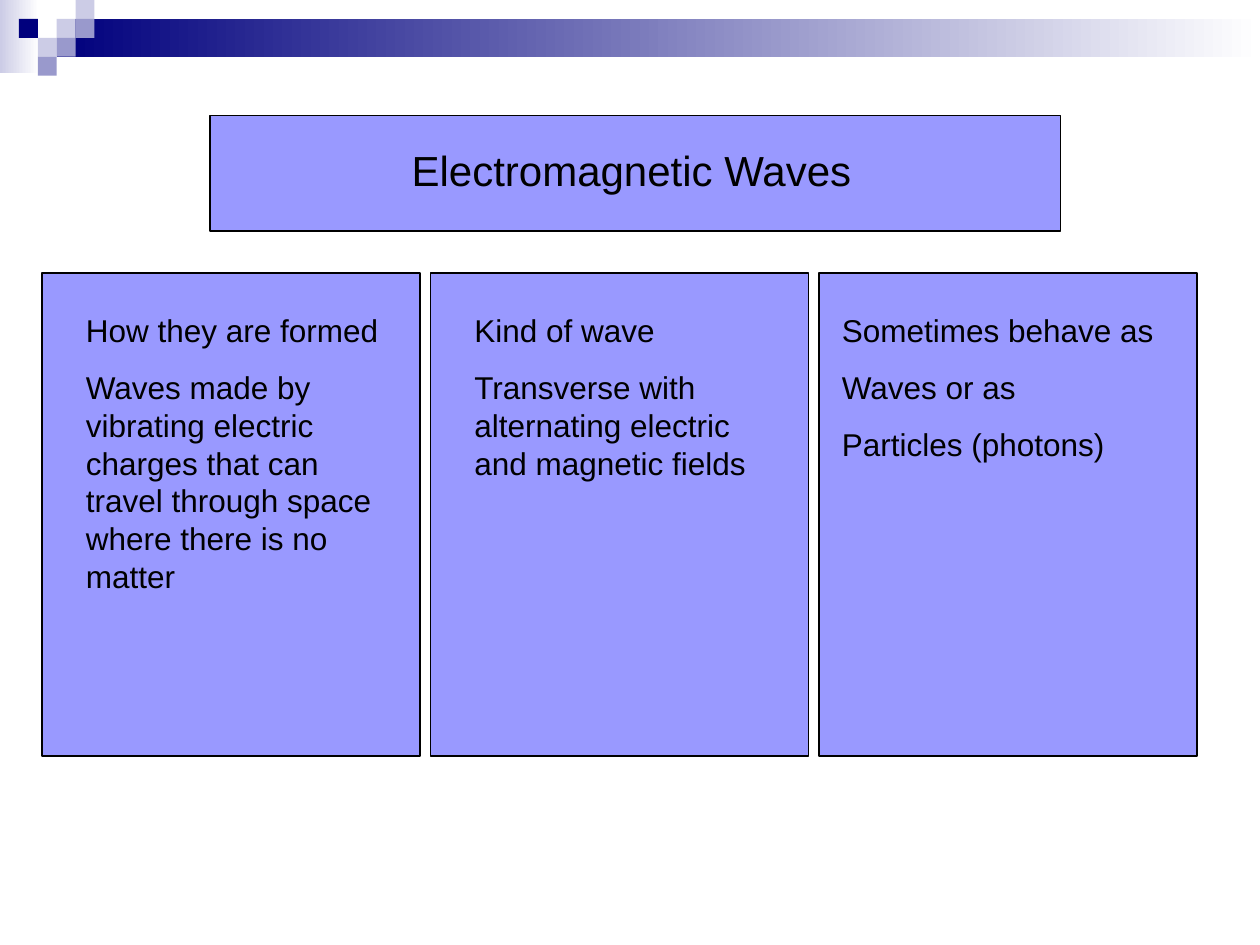
import dataclasses

import pptx
import pptx.dml.color
import pptx.enum.shapes
import pptx.enum.text
import pptx.util

Pt = pptx.util.Pt


@dataclasses.dataclass(frozen=True)
class Theme:
    font: str = "Arial"
    ink: str = "000000"
    panel: str = "9999FF"
    navy: str = "00007D"
    pale: str = "CCCCE6"
    mid: str = "9999CC"
    white: str = "FFFFFF"
    title_size: float = 24
    body_size: float = 18
    paragraph_gap: float = 11.2
    outline: float = 0.75


THEME = Theme()

# Heading, following paragraphs, text indent within the panel, text width
COLUMNS = [
    (["How they are formed",
      "Waves made by vibrating electric charges that can travel through space "
      "where there is no matter"], 18, 186),
    (["Kind of wave",
      "Transverse with alternating electric and magnetic fields"], 18, 192),
    (["Sometimes behave as", "Waves or as", "Particles (photons)"], 6, 204),
]


def rgb(value):
    return pptx.dml.color.RGBColor.from_string(value)


def place(shape, left, top, width, height):
    shape.left, shape.top = Pt(left), Pt(top)
    shape.width, shape.height = Pt(width), Pt(height)


def add_rectangle(page, left, top, width, height, colors, line=None):
    """One colour gives a solid fill, two give a left-to-right gradient."""
    shape = page.shapes.add_shape(
        pptx.enum.shapes.MSO_SHAPE.RECTANGLE,
        Pt(left), Pt(top), Pt(width), Pt(height))
    shape.shadow.inherit = False
    if len(colors) == 1:
        shape.fill.solid()
        shape.fill.fore_color.rgb = rgb(colors[0])
    else:
        shape.fill.gradient()
        shape.fill.gradient_angle = 0
        for position, (stop, color) in enumerate(zip(shape.fill.gradient_stops, colors)):
            stop.position = position
            stop.color.rgb = rgb(color)
    if line:
        shape.line.color.rgb = rgb(line)
        shape.line.width = Pt(THEME.outline)
    else:
        shape.line.fill.background()
    return shape


def write_text(box, paragraphs, *, size, color=THEME.ink, gap=0):
    frame = box.text_frame
    frame.word_wrap = True
    frame.auto_size = pptx.enum.text.MSO_AUTO_SIZE.NONE
    frame.vertical_anchor = pptx.enum.text.MSO_ANCHOR.TOP
    for index, text in enumerate(paragraphs):
        para = frame.add_paragraph() if index else frame.paragraphs[0]
        para.alignment = pptx.enum.text.PP_ALIGN.LEFT
        para.space_before = Pt(gap if index else 0)
        span = para.add_run()
        span.text = text
        span.font.name = THEME.font
        span.font.size = Pt(size)
        span.font.color.rgb = rgb(color)


def add_banner(page, left, top, width, unit):
    """Gradient bar with a checker of small squares at its left end."""
    add_rectangle(page, left, top, 22.3, 41.8, [THEME.pale, THEME.white])
    add_rectangle(page, left + 3 * unit, top + unit, width - 3 * unit, 2 * unit,
                  [THEME.navy, THEME.white])
    squares = [(3, 1, THEME.pale), (4, 0, THEME.pale), (4, 1, THEME.mid),
               (2, 2, THEME.pale), (1, 1, THEME.navy), (3, 2, THEME.mid),
               (2, 3, THEME.mid)]
    for column, row, color in squares:
        add_rectangle(page, left + column * unit, top + row * unit, unit, unit, [color])


def add_title(page, left, top, width, height):
    panel = add_rectangle(page, left, top, width, height, [THEME.panel], line=THEME.ink)
    title = page.shapes.title
    place(title, left + 108, top + 13, 360, 36)
    write_text(title, ["Electromagnetic Waves"], size=THEME.title_size)
    panel.element.addnext(title.element)  # bring the title in front of its panel


def add_columns(page, left, top, width, height, gap):
    panel_width = (width - gap * (len(COLUMNS) - 1)) / len(COLUMNS)
    for index, (paragraphs, indent, text_width) in enumerate(COLUMNS):
        panel_left = left + index * (panel_width + gap)
        add_rectangle(page, panel_left, top, panel_width, height,
                      [THEME.panel], line=THEME.ink)
        box = page.shapes.add_textbox(
            Pt(panel_left + indent), Pt(top + 18), Pt(text_width), Pt(170))
        write_text(box, paragraphs, size=THEME.body_size, gap=THEME.paragraph_gap)


def main():
    deck = pptx.Presentation()
    deck.slide_width, deck.slide_height = Pt(720), Pt(540)
    page = deck.slides.add_slide(deck.slide_layouts.get_by_name("Title Only"))
    add_banner(page, 0, 0, 720, unit=10.8)
    add_title(page, 120, 66, 486, 66)
    add_columns(page, 24, 156, 660, 276, gap=6)
    deck.save("out.pptx")


if __name__ == "__main__":
    main()
